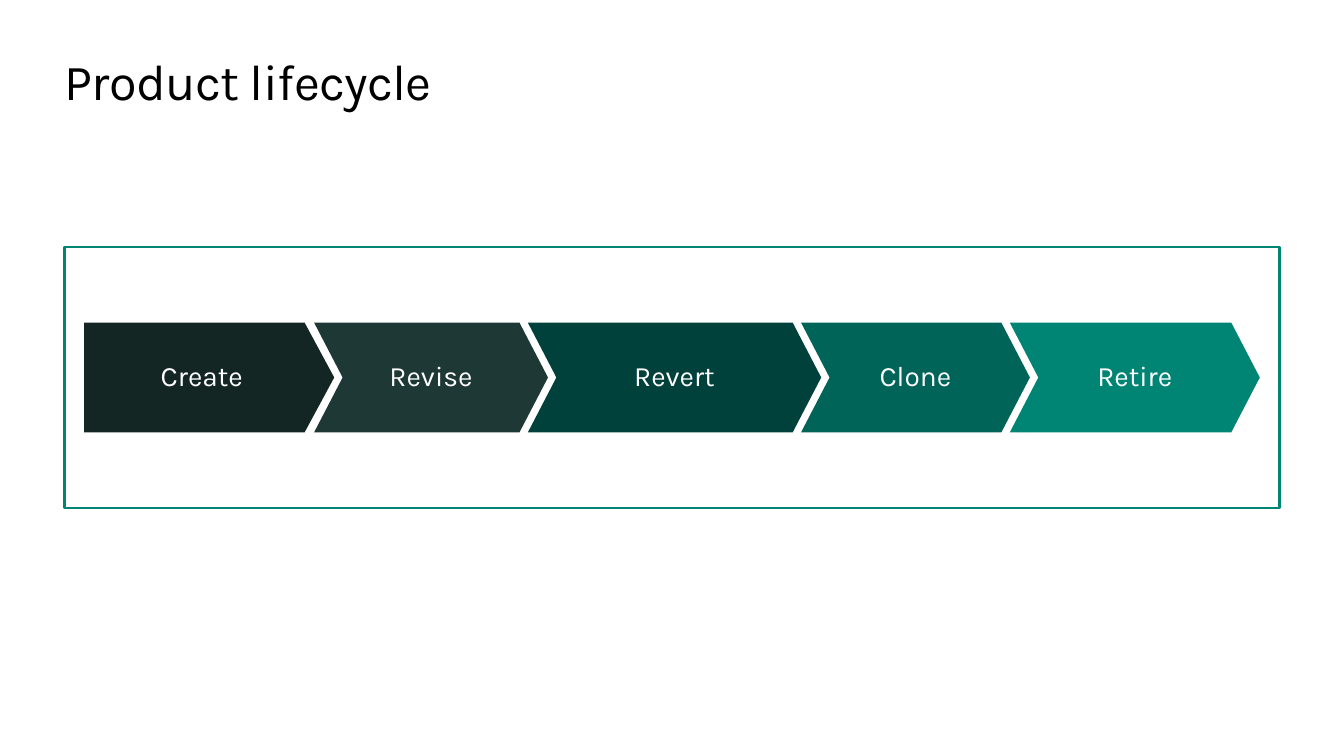
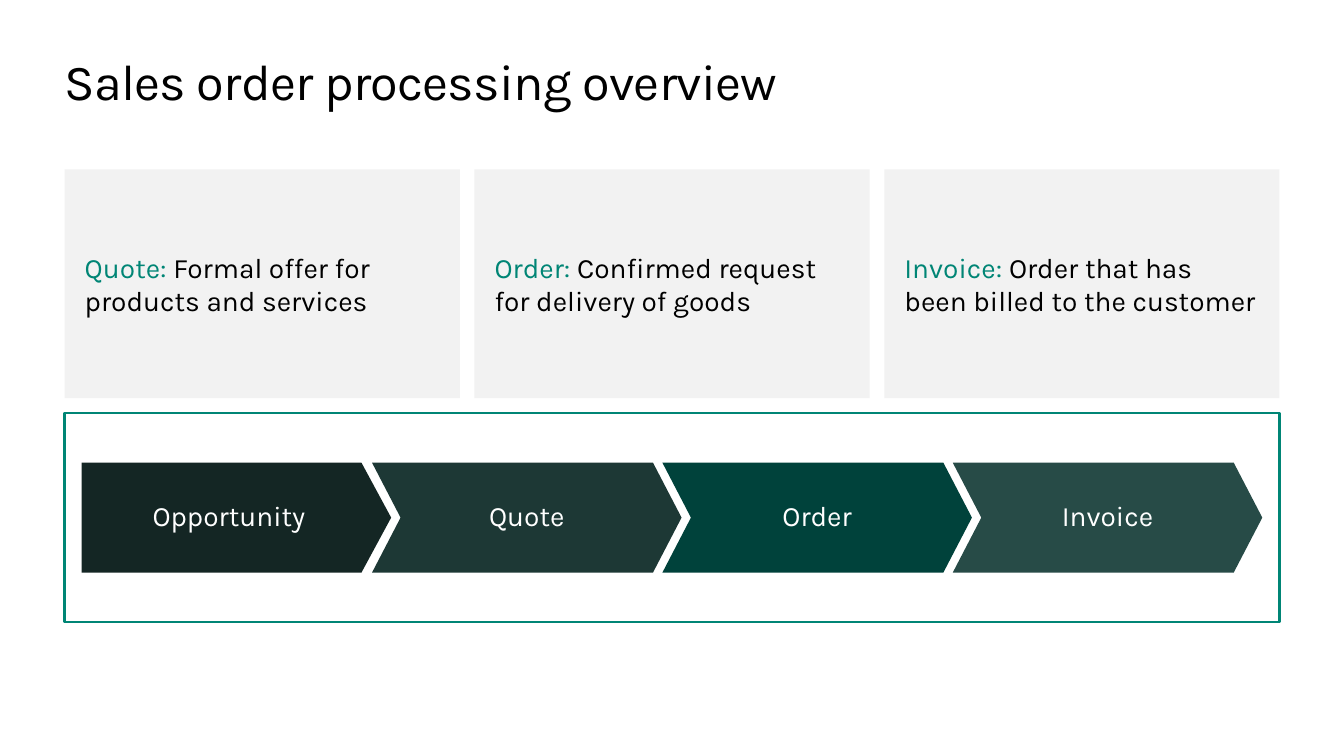
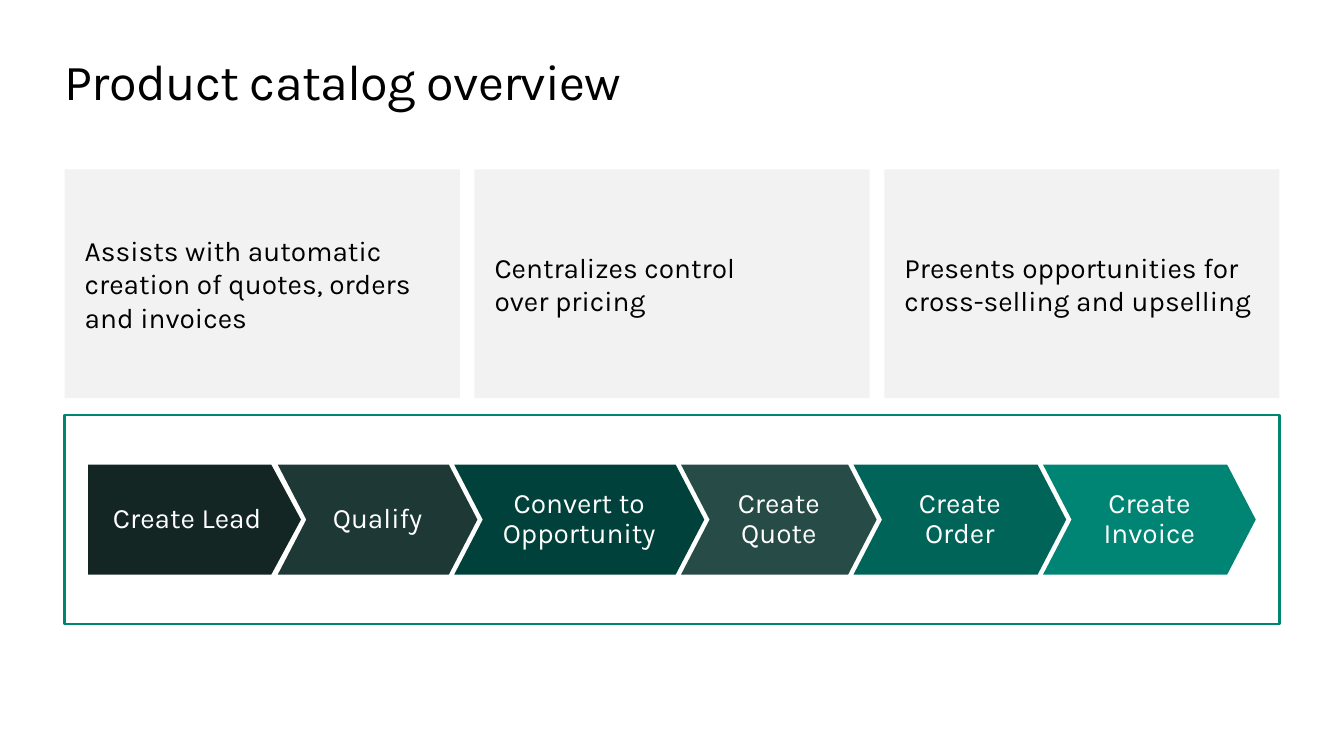
from dataclasses import dataclass

from pptx import Presentation
from pptx import util as u
from pptx.dml.color import RGBColor
from pptx.enum import shapes, text

In = u.Inches
Kind = shapes.MSO_SHAPE


@dataclass(frozen=True)
class Theme:
    font: str = "Karla"
    head: int = 36
    body: int = 20
    ink: str = "000000"
    paper: str = "FFFFFF"
    card: str = "F2F2F2"
    teal: str = "008575"
    night: str = "142624"
    slate: str = "1D3835"
    pine: str = "00423B"
    moss: str = "274B47"
    jade: str = "006458"


T = Theme()

# Content: cards hold (label, text); steps hold (name, width, fill)
SLIDES = [
    dict(title="Product lifecycle", cards=[],
         top=2.45, high=2.59, lap=0.2,
         steps=[("Create", 2.48, T.night), ("Revise", 2.32, T.slate),
                ("Revert", 2.91, T.pine), ("Clone", 2.27, T.jade),
                ("Retire", 2.48, T.teal)]),
    dict(title="Sales order processing overview",
         cards=[("Quote: ", "Formal offer for products and services"),
                ("Order: ", "Confirmed request for delivery of goods"),
                ("Invoice: ", "Order that has been billed to the customer")],
         top=4.1, high=2.07, lap=0.19,
         steps=[("Opportunity", 3.07, T.night), ("Quote", 3.07, T.slate),
                ("Order", 3.07, T.pine), ("Invoice", 3.07, T.moss)]),
    dict(title="Product catalog overview",
         cards=[("", "Assists with automatic creation of quotes, "
                     "orders and invoices"),
                ("", "Centralizes control\nover pricing"),
                ("", "Presents opportunities for "
                     "cross-selling and upselling")],
         top=4.12, high=2.07, lap=0.23,
         steps=[("Create Lead", 2.11, T.night), ("Qualify", 1.98, T.slate),
                ("Convert to Opportunity", 2.48, T.pine),
                ("Create Quote", 1.94, T.moss),
                ("Create Order", 2.11, T.jade),
                ("Create Invoice", 2.11, T.teal)]),
]

# Shared grid, in inches
LEFT, WIDE = 0.64, 12.05
CARD_TOP, CARD_W, CARD_H = 1.68, 3.92, 2.27
STEP_H = 1.09


def add_run(para, words, size, color):
    """Add styled text; a newline becomes a line break."""
    runs = []
    for i, line in enumerate(words.split("\n")):
        if i:
            para.add_line_break()
        run = para.add_run()
        run.text = line
        run.font.name = T.font
        run.font.size = u.Pt(size)
        run.font.color.rgb = RGBColor.from_string(color)
        runs.append(run)
    return runs


def add_box(slide, kind, x, y, w, h, fill=None, line=None):
    box = slide.shapes.add_shape(kind, In(x), In(y), In(w), In(h))
    box.shadow.inherit = False
    if fill:
        box.fill.solid()
        box.fill.fore_color.rgb = RGBColor.from_string(fill)
    else:
        box.fill.background()
    if line:
        box.line.color.rgb = RGBColor.from_string(line)
        box.line.width = u.Pt(1.5)
    else:
        box.line.fill.background()
    box.text_frame.vertical_anchor = text.MSO_ANCHOR.MIDDLE
    return box


def add_title(slide, words):
    box = slide.shapes.add_textbox(In(LEFT), In(0.5), In(WIDE), In(0.61))
    frame = box.text_frame
    frame.word_wrap = True
    frame.margin_left = frame.margin_right = 0
    frame.margin_top = frame.margin_bottom = 0
    for run in add_run(frame.paragraphs[0], words, T.head, T.ink):
        run._r.get_or_add_rPr().set("spc", "-50")


def add_cards(slide, cards):
    gap = (WIDE - 3 * CARD_W) / 2
    for i, (label, words) in enumerate(cards):
        box = add_box(slide, Kind.RECTANGLE, LEFT + i * (CARD_W + gap),
                      CARD_TOP, CARD_W, CARD_H, T.card)
        frame = box.text_frame
        frame.word_wrap = True
        frame.margin_left = frame.margin_right = In(0.2)
        frame.margin_top = frame.margin_bottom = In(0.1)
        para = frame.paragraphs[0]
        para.alignment = text.PP_ALIGN.LEFT
        if label:
            add_run(para, label, T.body, T.teal)
        add_run(para, words, T.body, T.ink)


def add_flow(slide, top, high, lap, steps):
    """Draw the frame and centre the overlapping steps in it."""
    add_box(slide, Kind.RECTANGLE, LEFT, top, WIDE, high, line=T.teal)
    span = sum(w for _, w, _ in steps) - lap * (len(steps) - 1)
    x = LEFT + (WIDE - span) / 2
    y = top + (high - STEP_H) / 2
    for i, (name, w, fill) in enumerate(steps):
        kind = Kind.CHEVRON if i else Kind.PENTAGON
        box = add_box(slide, kind, x, y, w, STEP_H, fill)
        box.adjustments[0] = 0.26 if i else 0.27
        box.text_frame.word_wrap = True
        para = box.text_frame.paragraphs[0]
        para.alignment = text.PP_ALIGN.CENTER
        para.line_spacing = 0.9
        add_run(para, name, T.body, T.paper)
        x += w - lap


def main():
    deck = Presentation()
    deck.slide_width, deck.slide_height = In(13.33), In(7.5)
    for item in SLIDES:
        slide = deck.slides.add_slide(deck.slide_layouts[6])
        add_title(slide, item["title"])
        add_cards(slide, item["cards"])
        add_flow(slide, item["top"], item["high"], item["lap"], item["steps"])
    deck.save("out.pptx")


if __name__ == "__main__":
    main()
